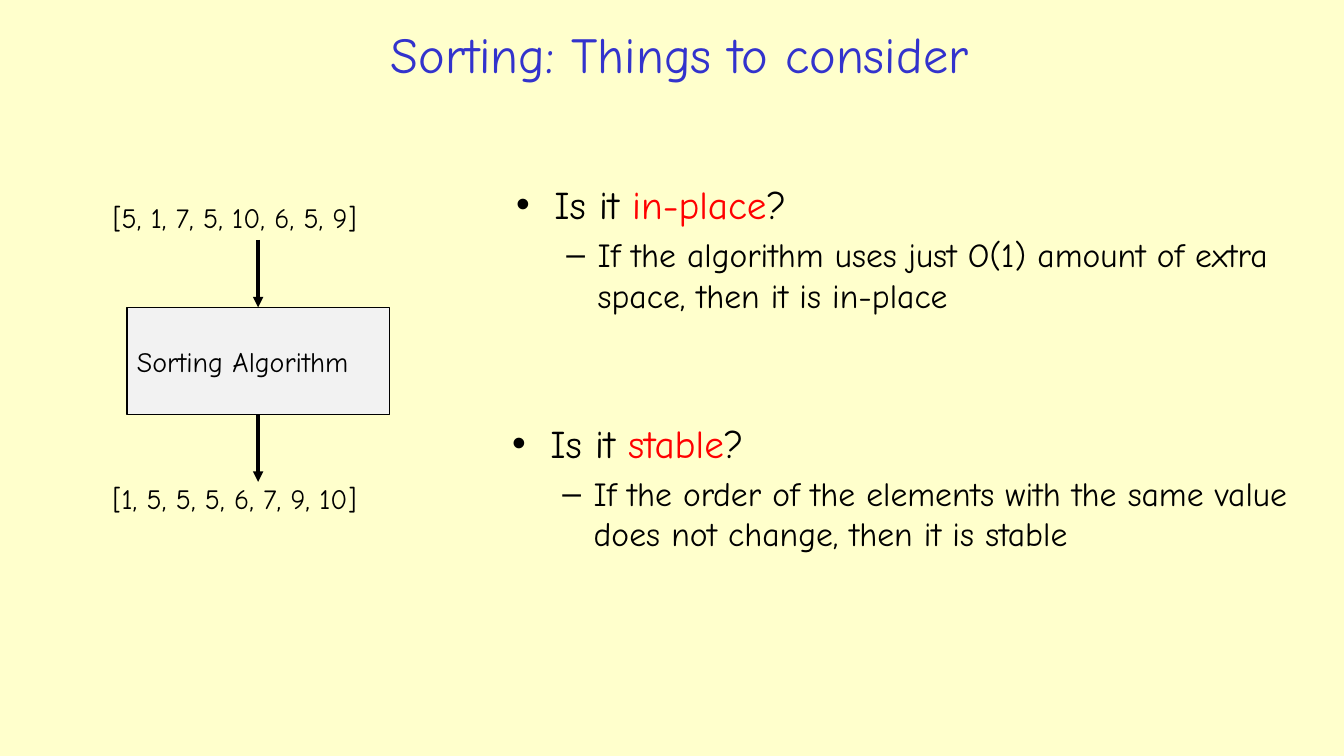
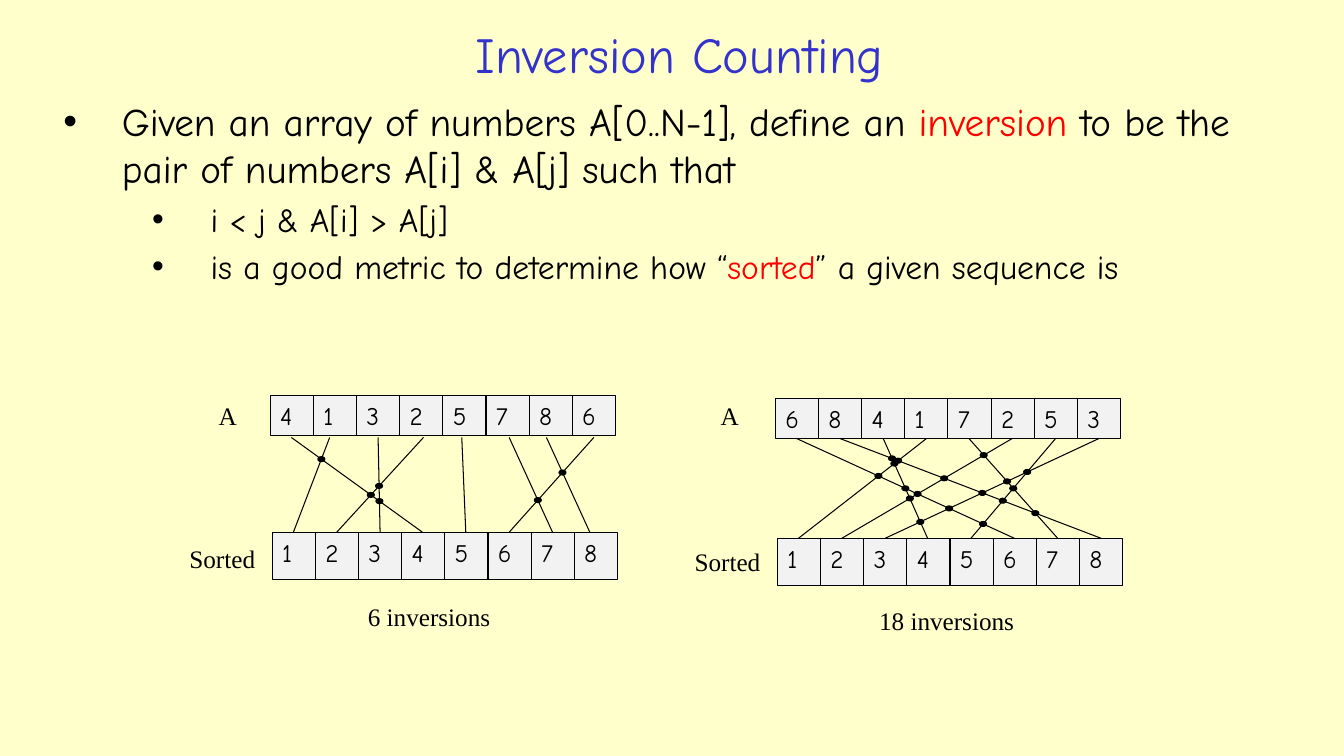
from itertools import combinations

from lxml import etree
from pptx import Presentation
from pptx import util as u
from pptx.dml.color import RGBColor
from pptx.enum import shapes, text
from pptx.oxml.ns import qn

CREAM = RGBColor(0xFF, 0xFF, 0xCC)
BLUE = RGBColor(0x33, 0x33, 0xCC)
RED = RGBColor(0xFF, 0x00, 0x00)
BLACK = RGBColor(0x00, 0x00, 0x00)
GREY = RGBColor(0xF2, 0xF2, 0xF2)
HAND = "Comic Neue"
SERIF = "Times New Roman"
PX = 9144  # EMU, 100 px to the inch


def add_label(page, words, place, size, font=HAND, fill=None):
    """Add left-aligned text, in an outlined rectangle if a fill is given."""
    area = [round(n * PX) for n in place]
    if fill:
        box = page.shapes.add_shape(shapes.MSO_SHAPE.RECTANGLE, *area)
        box.shadow.inherit = False
        box.fill.solid()
        box.fill.fore_color.rgb = fill
        box.line.color.rgb = BLACK
        box.line.width = u.Pt(0.75)
    else:
        box = page.shapes.add_textbox(*area)
    frame = box.text_frame
    frame.word_wrap = True
    frame.vertical_anchor = text.MSO_ANCHOR.TOP
    frame.text = words
    para = frame.paragraphs[0]
    para.alignment = text.PP_ALIGN.LEFT
    span = para.runs[0]
    span.font.name, span.font.size = font, u.Pt(size)
    span.font.color.rgb = BLACK
    return box


def add_line(page, start, end, weight=0.75, arrow=False):
    ends = [round(n * PX) for n in (*start, *end)]
    line = page.shapes.add_connector(shapes.MSO_CONNECTOR.STRAIGHT, *ends)
    line.line.color.rgb = BLACK
    line.line.width = u.Pt(weight)
    props = line.element.spPr
    if arrow:
        etree.SubElement(props.find(qn("a:ln")), qn("a:tailEnd"), type="triangle")
    etree.SubElement(props, qn("a:effectLst"))


deck = Presentation()
deck.slide_width, deck.slide_height = 1333 * PX, 750 * PX
backdrop = deck.slide_master.background.fill
backdrop.solid()
backdrop.fore_color.rgb = CREAM

# Pages and titles
pages = []
for heading in ("Sorting: Things to consider", "Inversion Counting"):
    page = deck.slides.add_slide(deck.slide_layouts[5])
    title = page.shapes.title
    title.left, title.top, title.width, title.height = (n * PX for n in (197, 15, 954, 76))
    title.text_frame.text = heading
    title.text_frame.vertical_anchor = text.MSO_ANCHOR.MIDDLE
    para = title.text_frame.paragraphs[0]
    para.alignment = text.PP_ALIGN.CENTER
    span = para.runs[0]
    span.font.name, span.font.size = HAND, u.Pt(36)
    span.font.color.rgb = BLUE
    pages.append(page)
sorting, counting = pages

# Bulleted text: words between asterisks are red
STYLES = {  # level, left margin, hanging indent, bullet, size
    "question": (0, 38, 38, "•", 28),
    "answer": (1, 81, 31, "–", 24),
    "definition": (0, 58, 58, "•", 28),
    "detail": (2, 146, 58, "•", 24),
}
outlines = [
    (sorting, (502, 174, 784, 196), [
        ("question", "Is it *in-place*?"),
        ("answer", "If the algorithm uses just O(1) amount of extra space, then it is in-place"),
    ]),
    (sorting, (498, 411, 798, 196), [
        ("question", "Is it *stable*?"),
        ("answer", "If the order of the elements with the same value does not change, then it is stable"),
    ]),
    (counting, (53, 92, 1239, 264), [
        ("definition", "Given an array of numbers A[0..N-1], define an *inversion* to be the "
                       "pair of numbers A[i] & A[j] such that"),
        ("detail", "i < j & A[i] > A[j]"),
        ("detail", "is a good metric to determine how “*sorted*” a given sequence is"),
    ]),
]
for page, place, items in outlines:
    frame = page.shapes.add_textbox(*(n * PX for n in place)).text_frame
    frame.word_wrap = True
    for number, (style, words) in enumerate(items):
        level, margin, hang, bullet, size = STYLES[style]
        para = frame.add_paragraph() if number else frame.paragraphs[0]
        para.level = level
        para.space_before = u.Pt(size * 0.2)
        props = para._p.get_or_add_pPr()
        props.set("marL", str(margin * PX))
        props.set("indent", str(-hang * PX))
        etree.SubElement(props, qn("a:buFont"), typeface="Arial")
        etree.SubElement(props, qn("a:buChar"), char=bullet)
        for part, piece in enumerate(words.split("*")):
            span = para.add_run()
            span.text = piece
            span.font.name, span.font.size = HAND, u.Pt(size)
            span.font.color.rgb = RED if part % 2 else BLACK

# Sorting diagram
add_label(sorting, "[5, 1, 7, 5, 10, 6, 5, 9]", (102, 194, 308, 44), 20)
machine = add_label(sorting, "Sorting Algorithm", (126, 305, 260, 106), 20, fill=GREY)
machine.text_frame.vertical_anchor = text.MSO_ANCHOR.MIDDLE
for top in (238, 411):
    add_line(sorting, (256, top), (256, top + 67), 2.5, arrow=True)
add_label(sorting, "[1, 5, 5, 5, 6, 7, 9, 10]", (102, 473, 300, 44), 20)

# Inversion diagrams: each value is joined to its sorted place, crossings are dotted
CELL = 42.8
DOT_WIDTH, DOT_HEIGHT = 7, 5
diagrams = [
    dict(values=[4, 1, 3, 2, 5, 7, 8, 6], array=(268, 392), ordered=(270, 528),
         starts=[289, 327, 375, 420, 458, 505, 542, 589], start_y=434,
         ends=[291, 334, 377, 419, 462, 505, 548, 585],
         labels=[("A", 207, 392), ("Sorted", 178, 534), ("6 inversions", 355, 592)]),
    dict(values=[6, 8, 4, 1, 7, 2, 5, 3], array=(769, 395), ordered=(771, 534),
         starts=[790, 833, 876, 919, 961, 1004, 1047, 1090], start_y=435,
         ends=[792, 835, 878, 920, 963, 1006, 1049, 1092],
         labels=[("A", 705, 392), ("Sorted", 679, 537), ("18 inversions", 862, 596)]),
]
for diagram in diagrams:
    values = diagram["values"]
    for words, left, top in diagram["labels"]:
        add_label(counting, words, (left, top, 30 + 13 * len(words), 40), 18, SERIF)
    for row, (left, top), height in ((values, diagram["array"], 40),
                                     (sorted(values), diagram["ordered"], 47)):
        for column, value in enumerate(row):
            add_label(counting, str(value), (left + column * CELL, top, CELL, height), 18, fill=GREY)

    start_y, end_y = diagram["start_y"], diagram["ordered"][1]
    links = [(start, diagram["ends"][value - 1]) for start, value in zip(diagram["starts"], values)]
    for start, end in links:
        add_line(counting, (start, start_y), (end, end_y))
    for (start, end), (other_start, other_end) in combinations(links, 2):
        if end < other_end:
            continue
        gap = other_start - start
        share = gap / (gap + end - other_end)
        x = start + share * (end - start)
        y = start_y + share * (end_y - start_y)
        area = (x - DOT_WIDTH / 2, y - DOT_HEIGHT / 2, DOT_WIDTH, DOT_HEIGHT)
        dot = counting.shapes.add_shape(shapes.MSO_SHAPE.OVAL, *(round(n * PX) for n in area))
        dot.shadow.inherit = False
        dot.fill.solid()
        dot.fill.fore_color.rgb = BLACK
        dot.line.color.rgb = BLACK
        dot.line.width = u.Pt(0.75)

deck.save("out.pptx")
